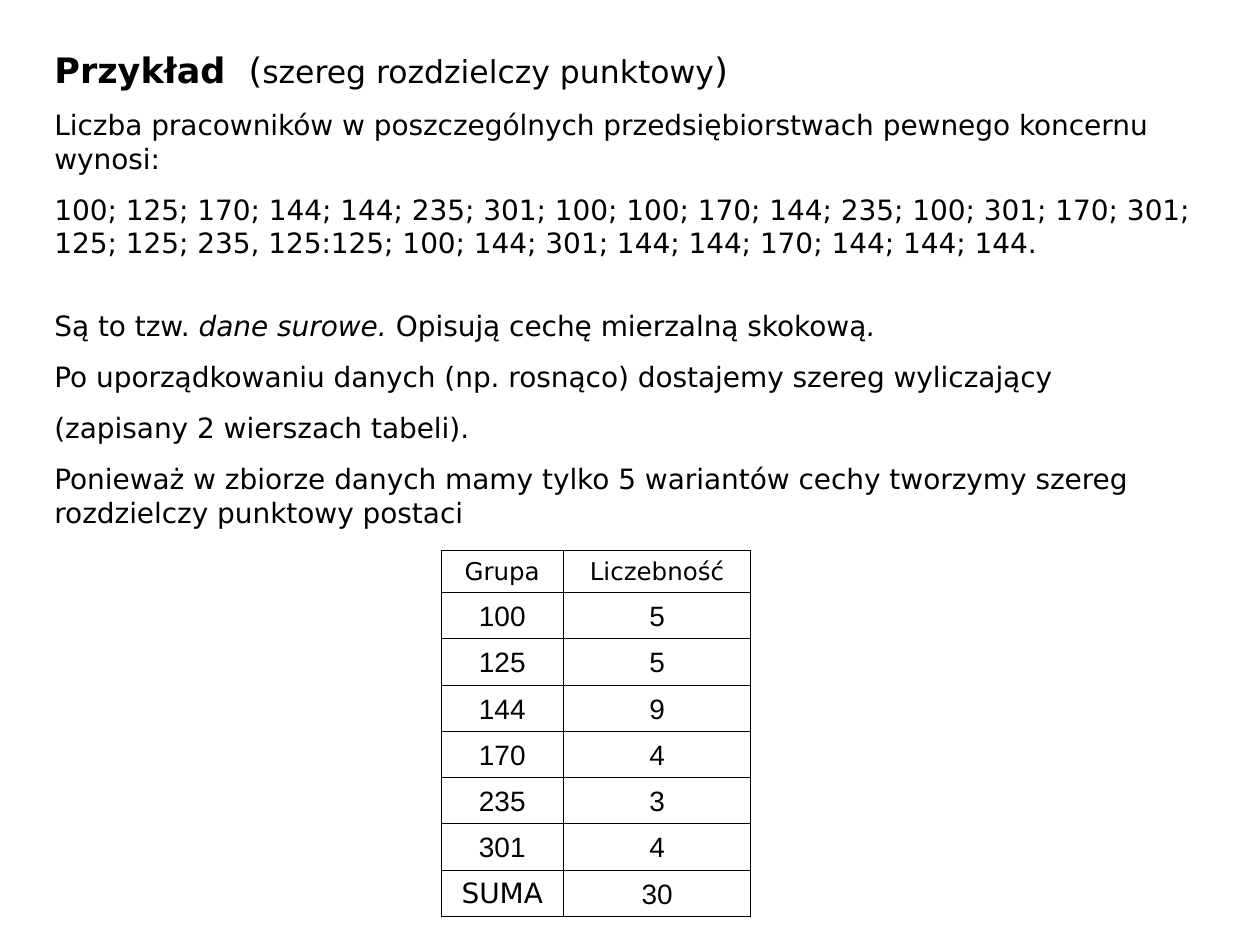
import pptx
import pptx.util
import pptx.dml.color
import pptx.enum.text
import pptx.oxml
import pptx.oxml.ns

Pt = pptx.util.Pt
SANS = "DejaVu Sans"
BLACK = "000000"
LINES = [
    "Liczba pracowników w poszczególnych przedsiębiorstwach pewnego koncernu wynosi:",
    "100; 125; 170; 144; 144; 235; 301; 100; 100; 170; 144; 235; 100; 301; 170; 301; "
    "125; 125; 235, 125:125; 100; 144; 301; 144; 144; 170; 144; 144; 144.",
    [("Są to tzw. ", {}), ("dane surowe. ", {"italic": True}),
     ("Opisują cechę mierzalną skokową", {}), (".", {"italic": True})],
    "Po uporządkowaniu danych (np. rosnąco) dostajemy szereg wyliczający",
    "(zapisany 2 wierszach tabeli).",
    "Ponieważ w zbiorze danych mamy tylko 5 wariantów cechy tworzymy szereg "
    "rozdzielczy punktowy postaci",
]
ROWS = [("Grupa", "Liczebność"), ("100", "5"), ("125", "5"), ("144", "9"),
        ("170", "4"), ("235", "3"), ("301", "4"), ("SUMA", "30")]


def make_xml(body):
    space = pptx.oxml.ns.nsdecls("a")
    return pptx.oxml.parse_xml(body.replace(">", f" {space}>", 1))


def set_color(color, code):
    color.rgb = pptx.dml.color.RGBColor.from_string(code)


def set_font(font, size, name):
    font.size = Pt(size)
    font.name = name
    set_color(font.color, BLACK)


def add_runs(para, parts):
    for text, style in parts:
        run = para.add_run()
        run.text = text
        for key, value in style.items():
            setattr(run.font, key, value)


def add_text(slide):
    box = slide.shapes.add_textbox(Pt(24), Pt(24), Pt(678), Pt(322))
    frame = box.text_frame
    frame.word_wrap = True
    frame.auto_size = pptx.enum.text.MSO_AUTO_SIZE.SHAPE_TO_FIT_TEXT
    title = frame.paragraphs[0]
    stop = int(Pt(111))
    props = title._p.get_or_add_pPr()
    props.append(make_xml(f'<a:tabLst><a:tab pos="{stop}" algn="l"/></a:tabLst>'))
    set_font(title.font, 20, SANS)
    add_runs(title, [("Przykład", {"bold": True}), ("\t(", {}),
                     ("szereg rozdzielczy punktowy", {"size": Pt(18)}), (")", {})])
    for line in LINES:
        para = frame.add_paragraph()
        mixed = isinstance(line, list)
        para.space_before = Pt(28 if mixed else 10)
        set_font(para.font, 16, SANS)
        add_runs(para, line if mixed else [(line, {})])


def set_cell(cell, text, size, name):
    props = cell._tc.get_or_add_tcPr()
    for side in "LRTB":
        props.append(make_xml(
            f'<a:ln{side} w="{int(Pt(0.45))}"><a:solidFill>'
            f'<a:srgbClr val="{BLACK}"/></a:solidFill></a:ln{side}>'))
    cell.fill.background()
    cell.vertical_anchor = pptx.enum.text.MSO_ANCHOR.BOTTOM
    para = cell.text_frame.paragraphs[0]
    para.alignment = pptx.enum.text.PP_ALIGN.CENTER
    set_font(para.font, size, name)
    add_runs(para, [(text, {})])


def add_table(slide):
    shape = slide.shapes.add_table(len(ROWS), 2, Pt(252), Pt(314.6), Pt(177), Pt(208.8))
    table = shape.table
    table.first_row = table.horz_banding = False
    for col, width in zip(table.columns, (70, 107)):
        col.width = Pt(width)
    for i, texts in enumerate(ROWS):
        table.rows[i].height = Pt(26.4 if i else 24)
        for j, text in enumerate(texts):
            name = "Arial" if text.isdigit() else SANS
            set_cell(table.cell(i, j), text, 16 if i else 14, name)


def main():
    deck = pptx.Presentation()
    deck.slide_width, deck.slide_height = Pt(720), Pt(540)
    slide = deck.slides.add_slide(deck.slide_layouts[6])
    add_text(slide)
    add_table(slide)
    deck.save("out.pptx")


if __name__ == "__main__":
    main()
